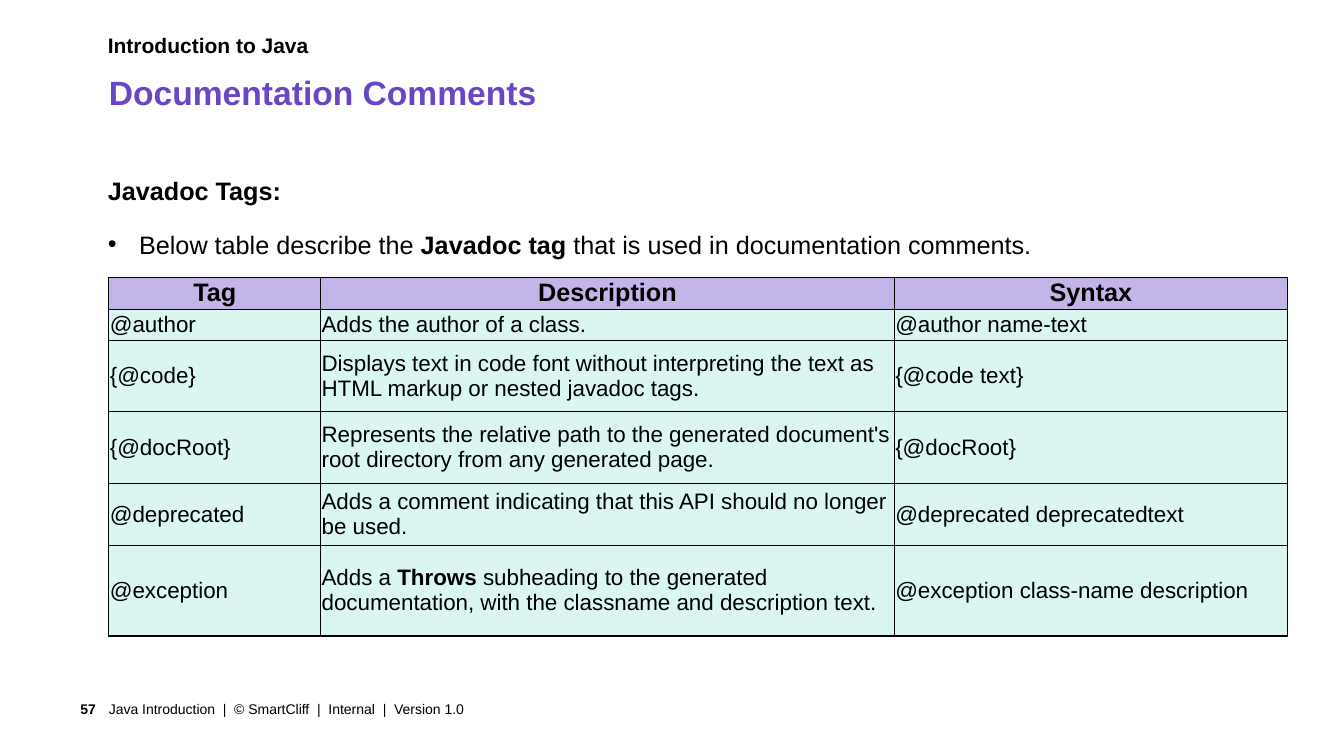
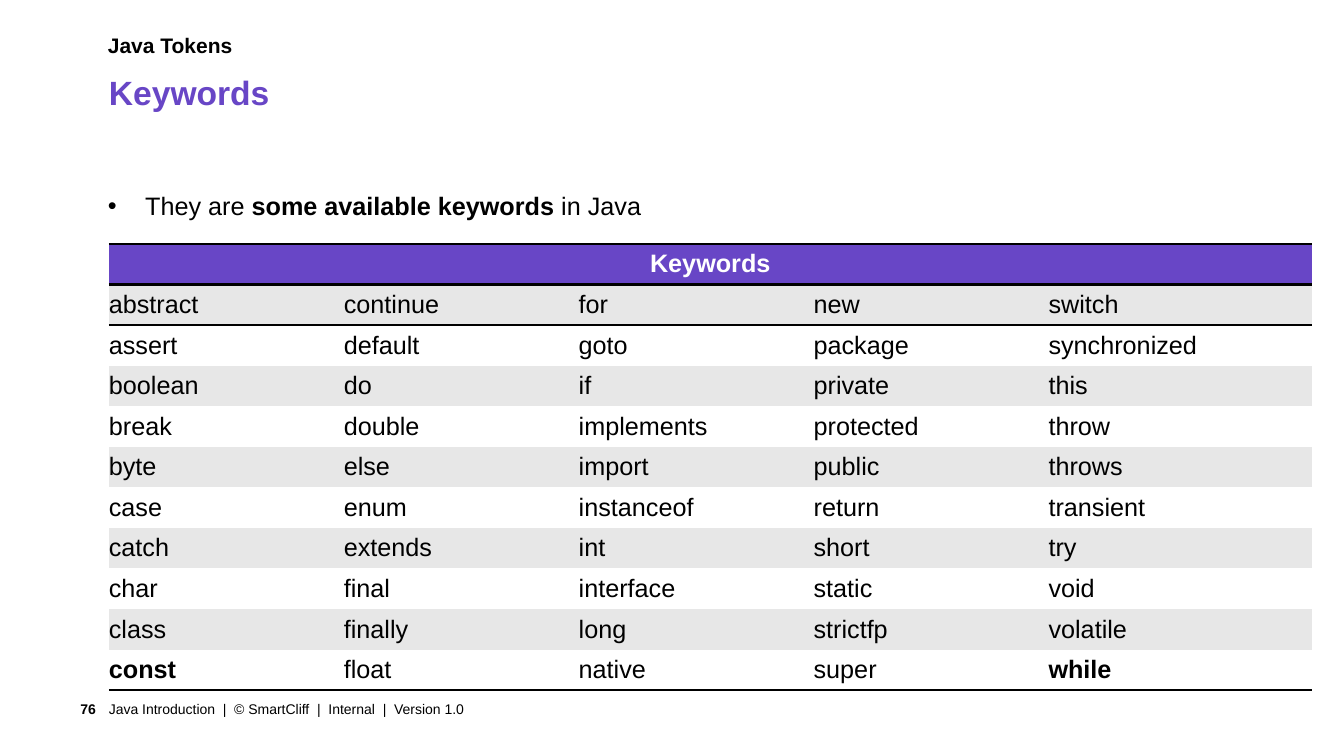
import lxml.etree
import pptx
import pptx.dml.color
import pptx.enum.text
import pptx.oxml.ns
import pptx.util

Inches = pptx.util.Inches
Pt = pptx.util.Pt
qn = pptx.oxml.ns.qn
ALIGN = pptx.enum.text.PP_ALIGN
ANCHOR = pptx.enum.text.MSO_ANCHOR

FONT = "Arial"
BLACK, WHITE, PURPLE = "000000", "FFFFFF", "6846C6"
LILAC, MINT, GREY = "C3B5E8", "DBF5F1", "E7E7E7"
FOOTER = "Java Introduction  |  © SmartCliff  |  Internal  |  Version 1.0"
NO_STYLE = "{2D5ABB26-0587-4C30-8999-92F81FD0307C}"
LEFT, WIDTH = 1.08, 11.94


def color(value):
    return pptx.dml.color.RGBColor.from_string(value)


def write(paragraph, text, size, ink=BLACK, bold=False, align=ALIGN.LEFT, spacing=None, hang=0):
    paragraph.alignment = align
    if spacing:
        paragraph.line_spacing = spacing
    if hang:
        properties = paragraph._p.get_or_add_pPr()
        properties.set("marL", str(Inches(hang)))
        properties.set("indent", str(-Inches(hang)))
        lxml.etree.SubElement(properties, qn("a:buFont"), typeface=FONT)
        lxml.etree.SubElement(properties, qn("a:buChar"), char="•")
    paragraph.font.name = FONT
    paragraph.font.size = Pt(size)
    paragraph.font.bold = bold
    paragraph.font.color.rgb = color(ink)
    for position, part in enumerate(text.split("**")):
        if part:
            run = paragraph.add_run()
            run.text = part
            if position % 2:
                run.font.bold = True


tag_rows = [
    ("Tag", "Description", "Syntax"),
    ("@author", "Adds the author of a class.", "@author name-text"),
    ("{@code}", "Displays text in code font without interpreting the text as HTML markup or nested javadoc tags.",
     "{@code text}"),
    ("{@docRoot}", "Represents the relative path to the generated document's root directory from any generated page.",
     "{@docRoot}"),
    ("@deprecated", "Adds a comment indicating that this API should no longer be used.",
     "@deprecated deprecatedtext"),
    ("@exception", "Adds a **Throws** subheading to the generated documentation, with the classname and description text.",
     "@exception class-name description"),
]
keyword_columns = [
    "Keywords abstract assert boolean break byte case catch char class **const**".split(),
    [""] + "continue default do double else enum extends final finally float".split(),
    [""] + "for goto if implements import instanceof int interface long native".split(),
    [""] + "new package private protected public return short static strictfp super".split(),
    [""] + "switch synchronized this throw throws transient try void volatile **while**".split(),
]

lessons = [
    {
        "chapter": "Introduction to Java", "title": "Documentation Comments", "number": "57",
        "body": [("Javadoc Tags:", True, 1.5, 0),
                 ("Below table describe the **Javadoc tag** that is used in documentation comments.", False, 1.5, 0.31)],
        "body_height": 1.1,
        "rows": tag_rows, "top": 2.75, "height": 3.55,
        "widths": [2.1, 5.69, 3.9], "heights": [0.31, 0.31, 0.7, 0.72, 0.61, 0.9],
        "inset": 0.01, "size": 16, "head_ink": BLACK, "head_fill": LILAC, "fills": [MINT, MINT],
        "head_anchor": ANCHOR.TOP, "grid": True,
    },
    {
        "chapter": "Java Tokens", "title": "Keywords", "number": "76",
        "body": [("They are **some available keywords** in Java", False, 2.0, 0.37)],
        "body_height": 0.8,
        "rows": list(zip(*keyword_columns)), "top": 2.42, "height": 4.43,
        "widths": [2.33, 2.33, 2.33, 2.33, 2.61], "heights": [],
        "inset": 0, "size": 18, "head_ink": WHITE, "head_fill": PURPLE, "fills": [WHITE, GREY],
        "head_anchor": ANCHOR.MIDDLE, "grid": False,
    },
]

deck = pptx.Presentation()
deck.slide_width, deck.slide_height = Inches(13.33), Inches(7.5)

for lesson in lessons:
    slide = deck.slides.add_slide(deck.slide_layouts[6])

    for text, at, insets, style in [
        (lesson["chapter"], (1.07, 0.32, WIDTH, 0.41), (0, 0, 0, 0), {"size": 15, "bold": True}),
        (lesson["title"], (LEFT, 0.71, WIDTH, 0.42), (0, 0, 0, 0), {"size": 24, "bold": True, "ink": PURPLE}),
        (lesson["number"], (0.42, 6.88, 0.65, 0.31), (0.1, 0.05, 0.12, 0.05),
         {"size": 10, "bold": True, "align": ALIGN.RIGHT}),
        (FOOTER, (LEFT, 6.88, 9.36, 0.31), (0, 0.05, 0.1, 0.05), {"size": 10}),
        (None, (1.07, 1.59, WIDTH, lesson["body_height"]), (0, 0, 0, 0), {"size": 18}),
    ]:
        frame = slide.shapes.add_textbox(*map(Inches, at)).text_frame
        frame.word_wrap = True
        frame.margin_left, frame.margin_top, frame.margin_right, frame.margin_bottom = map(Inches, insets)
        frame.vertical_anchor = ANCHOR.MIDDLE if style["size"] == 10 else ANCHOR.TOP
        if text:
            write(frame.paragraphs[0], text, **style)
            continue
        for index, (line, bold, spacing, hang) in enumerate(lesson["body"]):
            paragraph = frame.add_paragraph() if index else frame.paragraphs[0]
            if index:
                paragraph.space_before = Pt(6)
            write(paragraph, line, bold=bold, spacing=spacing, hang=hang, **style)

    rows, widths = lesson["rows"], lesson["widths"]
    table = slide.shapes.add_table(len(rows), len(widths), Inches(LEFT), Inches(lesson["top"]),
                                   Inches(sum(widths)), Inches(lesson["height"])).table
    table._tbl.tblPr.find(qn("a:tableStyleId")).text = NO_STYLE
    table.horz_banding = False
    for column, width in zip(table.columns, widths):
        column.width = Inches(width)
    for row, height in zip(table.rows, lesson["heights"]):
        row.height = Inches(height)

    for r, texts in enumerate(rows):
        head = r == 0
        if lesson["grid"]:
            borders = {"L": 1, "R": 1, "T": 1, "B": 1}
        elif head:
            borders = {"T": 2, "B": 2}
        elif r == 1:
            borders = {"T": 2}
        elif r == len(rows) - 1:
            borders = {"B": 2}
        else:
            borders = {}
        for c, text in enumerate(texts):
            cell = table.cell(r, c)
            cell.margin_left = cell.margin_right = Inches(lesson["inset"])
            cell.margin_top = cell.margin_bottom = Inches(lesson["inset"])
            cell.vertical_anchor = lesson["head_anchor"] if head else ANCHOR.MIDDLE
            for side, weight in borders.items():
                line = lxml.etree.SubElement(cell._tc.get_or_add_tcPr(), qn("a:ln" + side), w=str(Pt(weight)))
                ink = lxml.etree.SubElement(line, qn("a:solidFill"))
                lxml.etree.SubElement(ink, qn("a:srgbClr"), val=BLACK)
            cell.fill.solid()
            cell.fill.fore_color.rgb = color(lesson["head_fill"] if head else lesson["fills"][r % 2])
            paragraph = cell.text_frame.paragraphs[0]
            if head and text:
                write(paragraph, text, 18, lesson["head_ink"], True, ALIGN.CENTER)
            elif text:
                write(paragraph, text, lesson["size"])
    if not lesson["grid"]:
        table.cell(0, 0).merge(table.cell(0, len(widths) - 1))

deck.save("out.pptx")
